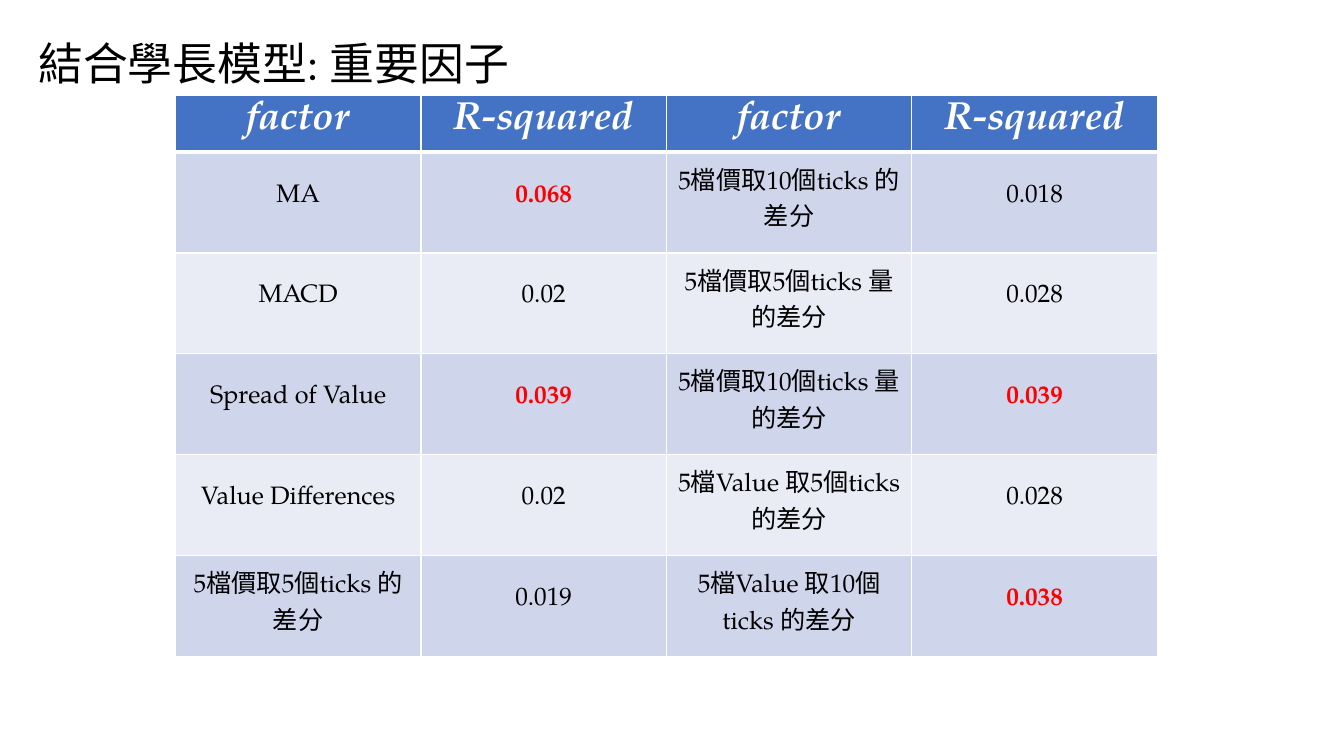
from lxml.etree import SubElement
from pptx import Presentation
from pptx.dml.color import RGBColor
from pptx.enum.text import MSO_ANCHOR, MSO_AUTO_SIZE, PP_ALIGN
from pptx.oxml.ns import qn
from pptx.util import Inches, Pt

BLACK = RGBColor(0x00, 0x00, 0x00)
WHITE = RGBColor(0xFF, 0xFF, 0xFF)
RED = RGBColor(0xFF, 0x00, 0x00)
HEADER_BLUE = RGBColor(0x44, 0x72, 0xC4)
BANDS = (RGBColor(0xCF, 0xD5, 0xEA), RGBColor(0xE9, 0xEB, 0xF5))

HEADINGS = ("factor", "R-squared", "factor", "R-squared")
FACTORS = (
    ("MA", "0.068", "5檔價取10個ticks 的差分", "0.018"),
    ("MACD", "0.02", "5檔價取5個ticks 量的差分", "0.028"),
    ("Spread of Value", "0.039", "5檔價取10個ticks 量的差分", "0.039"),
    ("Value Differences", "0.02", "5檔Value 取5個ticks 的差分", "0.028"),
    ("5檔價取5個ticks 的差分", "0.019", "5檔Value 取10個ticks 的差分", "0.038"),
)
IMPORTANT = {"0.068", "0.039", "0.038"}


class FactorSlide:
    font_name = "TeX Gyre Pagella"

    def __init__(self, presentation):
        self.slide = presentation.slides.add_slide(presentation.slide_layouts[5])

    def style(self, paragraph, size, color, bold=False, italic=False):
        font = paragraph.font
        font.name, font.size = self.font_name, Pt(size)
        font.bold, font.italic = bold, italic
        font.color.rgb = color

    def title(self, text, left, top, width, height):
        shape = self.slide.shapes.title
        shape.left, shape.top = Inches(left), Inches(top)
        shape.width, shape.height = Inches(width), Inches(height)
        frame = shape.text_frame
        frame.text = text
        frame.word_wrap = True
        frame.auto_size = MSO_AUTO_SIZE.NONE
        frame.vertical_anchor = MSO_ANCHOR.TOP
        paragraph = frame.paragraphs[0]
        paragraph.alignment = PP_ALIGN.LEFT
        self.style(paragraph, 32, BLACK)

    def borders(self, cell, top=1, bottom=1):
        properties = cell._tc.get_or_add_tcPr()
        for side, width in (("L", 1), ("R", 1), ("T", top), ("B", bottom)):
            line = SubElement(properties, qn(f"a:ln{side}"), w=str(Pt(width)))
            fill = SubElement(line, qn("a:solidFill"))
            SubElement(fill, qn("a:srgbClr"), val=str(WHITE))

    def cell(self, cell, text, fill, size, color, **emphasis):
        cell.text = text
        cell.fill.solid()
        cell.fill.fore_color.rgb = fill
        paragraph = cell.text_frame.paragraphs[0]
        paragraph.alignment = PP_ALIGN.CENTER
        self.style(paragraph, size, color, **emphasis)

    def table(self, left, top, width, header_height, row_height):
        height = header_height + row_height * len(FACTORS)
        table = self.slide.shapes.add_table(
            len(FACTORS) + 1, len(HEADINGS),
            Inches(left), Inches(top), Inches(width), Inches(height)).table
        table.horz_banding = False

        # Header row
        table.rows[0].height = Inches(header_height)
        for column, heading in enumerate(HEADINGS):
            cell = table.cell(0, column)
            self.borders(cell, bottom=3)
            self.cell(cell, heading, HEADER_BLUE, 28, WHITE, bold=True, italic=True)

        # Factor rows: text sits a little above the middle
        for row, values in enumerate(FACTORS, start=1):
            table.rows[row].height = Inches(row_height)
            for column, value in enumerate(values):
                cell = table.cell(row, column)
                important = value in IMPORTANT
                self.borders(cell, top=3 if row == 1 else 1)
                self.cell(cell, value, BANDS[(row - 1) % 2], 18,
                          RED if important else BLACK, bold=important)
                cell.vertical_anchor = MSO_ANCHOR.MIDDLE
                cell.margin_top, cell.margin_bottom = Inches(0.05), Inches(0.17)


def main():
    presentation = Presentation()
    presentation.slide_width, presentation.slide_height = Inches(13.33), Inches(7.5)
    factor_slide = FactorSlide(presentation)
    factor_slide.title("結合學長模型: 重要因子", 0.28, 0.3, 7.9, 0.64)
    factor_slide.table(1.74, 0.95, 9.74, header_height=0.56, row_height=1.0)
    presentation.save("out.pptx")


if __name__ == "__main__":
    main()
